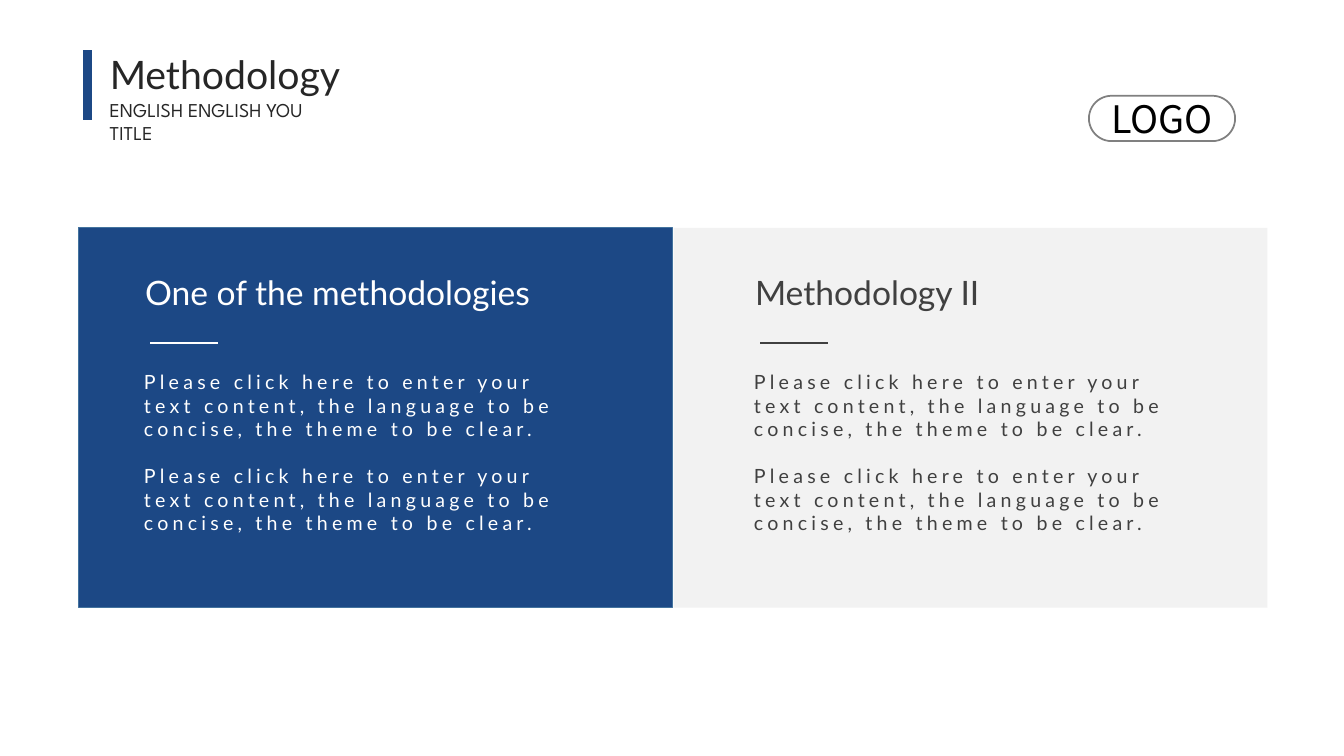
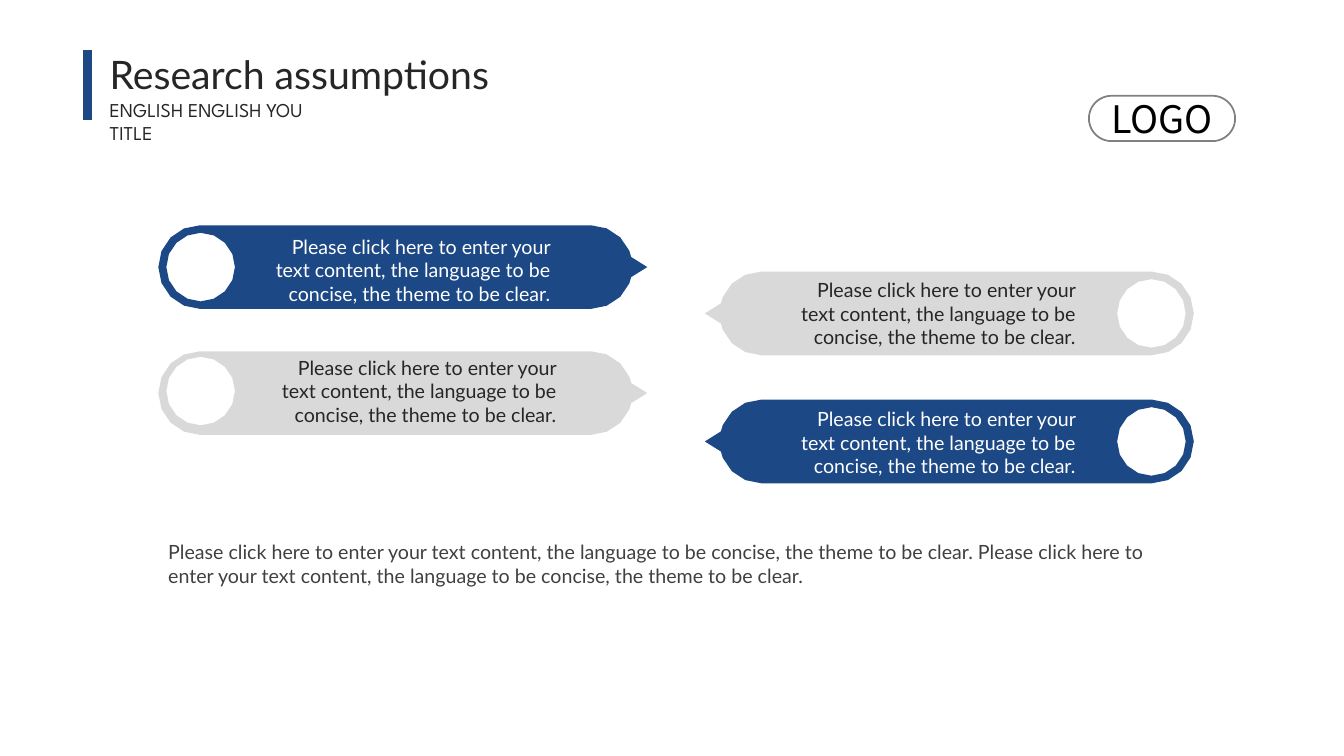
import math
from lxml import etree
from pptx import Presentation
from pptx.dml.color import RGBColor
from pptx.enum import shapes, text
from pptx.oxml import ns
from pptx.util import Inches, Pt

COLORS = {
    "blue": "1C4885", "edge": "43739E", "panel": "F2F2F2", "silver": "D9D9D9",
    "outline": "808080", "ink": "262626", "body": "404040",
    "white": "FFFFFF", "black": "000000",
}
BODY_FONT = "Lato"
PROMPT = ("Please click here to enter your text content, "
          "the language to be concise, the theme to be clear.")
ALIGN = text.PP_ALIGN


def rgb(name):
    return RGBColor.from_string(COLORS[name])


def paint(shape, fill=None, line=None, width=1):
    shape.shadow.inherit = False
    if fill:
        shape.fill.solid()
        shape.fill.fore_color.rgb = rgb(fill)
    else:
        shape.fill.background()
    if line:
        shape.line.color.rgb = rgb(line)
        shape.line.width = Pt(width)
    else:
        shape.line.fill.background()


def write(frame, paragraphs, size=14, font=BODY_FONT, color="ink",
          align=ALIGN.LEFT, tracking=0, gap=0):
    frame.word_wrap = True
    for index, wording in enumerate(paragraphs):
        paragraph = frame.paragraphs[0] if index == 0 else frame.add_paragraph()
        paragraph.alignment = align
        if index:
            paragraph.space_before = Pt(gap)
        run = paragraph.add_run()
        run.text = wording
        run.font.size = Pt(size)
        run.font.name = font
        run.font.color.rgb = rgb(color)
        if tracking:
            run._r.get_or_add_rPr().set("spc", str(tracking * 100))


def add_text(slide, box, *paragraphs, **style):
    frame = slide.shapes.add_textbox(*map(Inches, box)).text_frame
    write(frame, paragraphs, **style)
    frame.auto_size = text.MSO_AUTO_SIZE.SHAPE_TO_FIT_TEXT


def add_rule(slide, start, end, color, width):
    rule = slide.shapes.add_connector(
        shapes.MSO_CONNECTOR.STRAIGHT, *map(Inches, start + end))
    rule.line.color.rgb = rgb(color)
    rule.line.width = Pt(width)
    etree.SubElement(rule._element.spPr, ns.qn("a:effectLst"))


def add_header(slide, title, width):
    add_text(slide, (0.99, 0.45, width, 0.57), title, size=28)
    add_text(slide, (0.99, 0.92, 2.46, 0.34), "ENGLISH ENGLISH YOU TITLE",
             font="League Spartan")
    add_rule(slide, (0.87, 0.5), (0.87, 1.19), "blue", 6)


def add_badge(slide):
    badge = slide.shapes.add_shape(
        shapes.MSO_SHAPE.ROUNDED_RECTANGLE,
        *map(Inches, (10.8, 0.95, 1.45, 0.45)))
    badge.adjustments[0] = 0.5
    paint(badge, line="outline", width=1.25)
    badge.text_frame.vertical_anchor = text.MSO_ANCHOR.MIDDLE
    write(badge.text_frame, ["LOGO"], size=27, font="Noto Sans CJK SC",
          color="black", align=ALIGN.CENTER)


def add_panel(slide, left, heading_left, heading, heading_width, fill, edge, color):
    panel = slide.shapes.add_shape(
        shapes.MSO_SHAPE.RECTANGLE, *map(Inches, (left, 2.26, 5.89, 3.77)))
    paint(panel, fill, edge)
    add_text(slide, (heading_left, 2.65, heading_width, 0.5), heading,
             size=24, color=color)
    rule_left = heading_left + 0.15
    add_rule(slide, (rule_left, 3.4), (rule_left + 0.67, 3.4), color, 1.5)
    add_text(slide, (heading_left - 0.01, 3.62, 4.64, 2.09), PROMPT, PROMPT,
             color=color, tracking=3, gap=17)


def arc(center_x, center_y, radius, start, end):
    steps = math.ceil(abs(end - start) / 22.5)
    angles = [math.radians(start + (end - start) * i / steps)
              for i in range(steps + 1)]
    return [(center_x + radius * math.cos(a), center_y + radius * math.sin(a))
            for a in angles]


def add_pointer(slide, tail, middle, direction, fill, knob_shift):
    radius, shoulder, neck, tip = 0.83 / 2, 4.29, 4.69, 4.85
    knob = arc(0.42, knob_shift, 0.34, 0, -360)
    body = (arc(radius, 0, radius, 90, 270)
            + arc(shoulder, 0, radius, -90, -23)
            + [(neck, -0.1), (tip, 0), (neck, 0.1)]
            + arc(shoulder, 0, radius, 23, 90))

    def place(points):
        return [(Inches(tail + direction * x), Inches(middle + y))
                for x, y in points]

    outline, hole = place(body), place(knob)
    builder = slide.shapes.build_freeform(*outline[0])
    builder.add_line_segments(outline[1:], close=True)
    builder.move_to(*hole[0])
    builder.add_line_segments(hole[1:-1], close=True)
    paint(builder.convert_to_shape(), fill)


def build_methodology(slide):
    add_header(slide, "Methodology", 2.78)
    add_panel(slide, 6.68, 7.39, "Methodology II", 3.13, "panel", None, "body")
    add_panel(slide, 0.78, 1.34, "One of the methodologies", 4.27,
              "blue", "edge", "white")
    add_badge(slide)


def build_assumptions(slide):
    add_header(slide, "Research assumptions", 4.63)
    pointers = [
        (1.57, 2.65, 1, "blue", 0, 2.43, 2.28, "white"),
        (1.57, 3.9, 1, "silver", -0.02, 2.49, 3.48, "ink"),
        (11.84, 3.11, -1, "silver", 0, 7.64, 2.71, "ink"),
        (11.84, 4.38, -1, "blue", 0, 7.64, 3.99, "white"),
    ]
    for tail, middle, direction, fill, shift, left, top, color in pointers:
        add_pointer(slide, tail, middle, direction, fill, shift)
        add_text(slide, (left, top, 3.13, 0.57), PROMPT,
                 color=color, align=ALIGN.RIGHT)
    add_text(slide, (1.57, 5.31, 10.33, 0.57), f"{PROMPT} {PROMPT}", color="body")
    add_badge(slide)


def main():
    deck = Presentation()
    deck.slide_width, deck.slide_height = Inches(13.33), Inches(7.5)
    for build in (build_methodology, build_assumptions):
        build(deck.slides.add_slide(deck.slide_layouts[6]))
    deck.save("out.pptx")


main()
